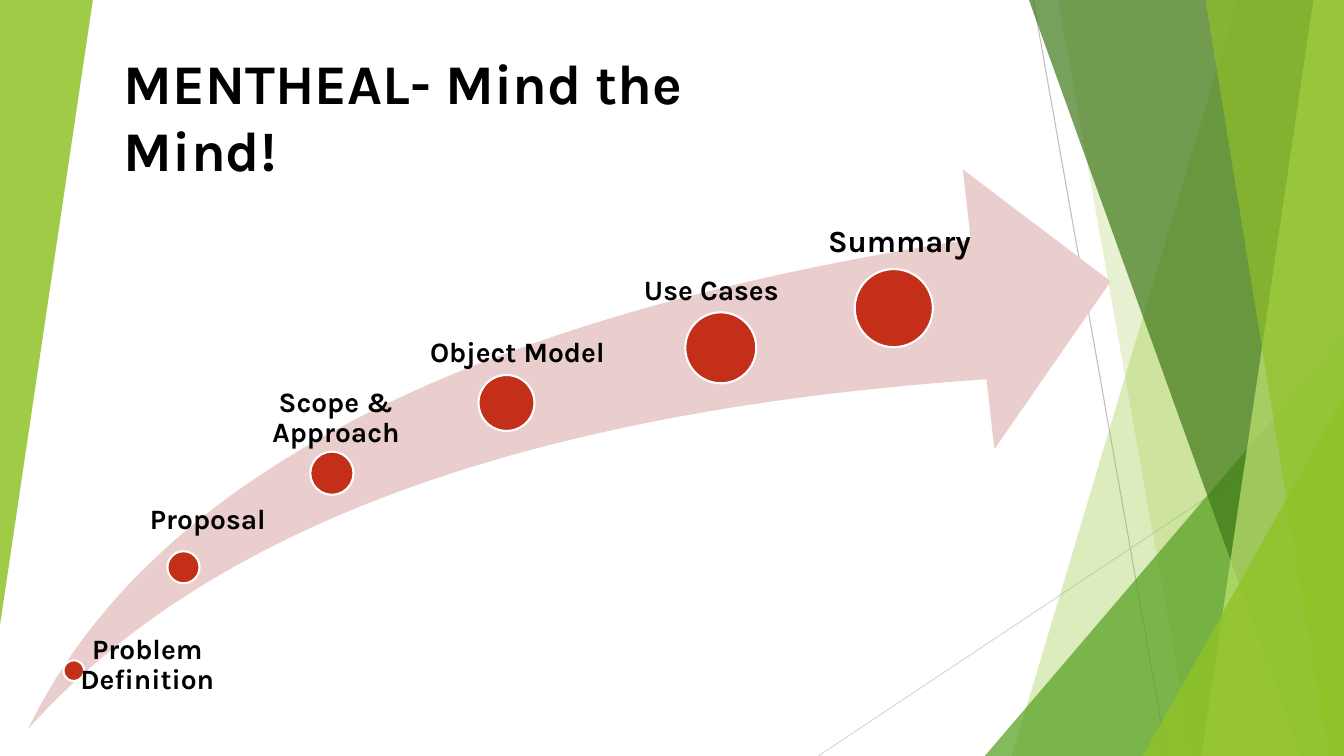
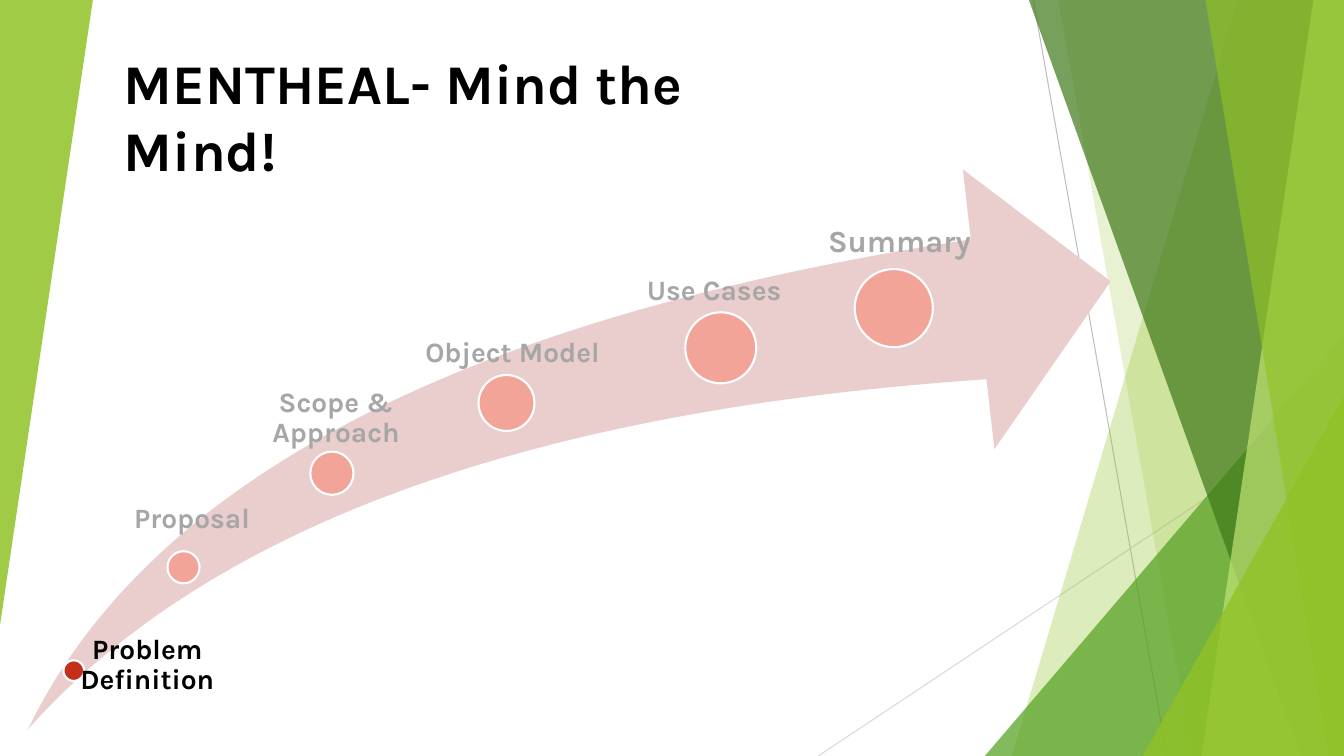
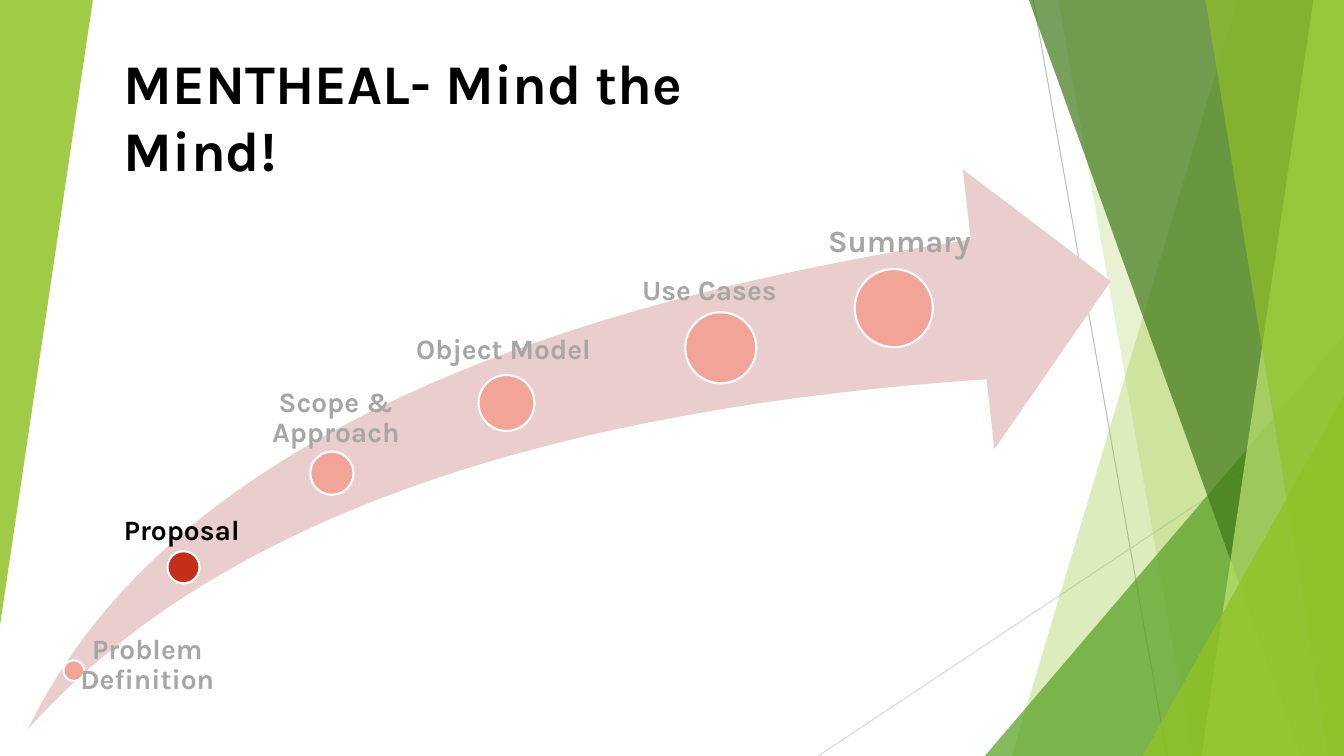
from dataclasses import dataclass, replace

from lxml import etree
from pptx import Presentation
from pptx import util as u
from pptx.dml import color
from pptx.enum import shapes, text
from pptx.oxml import ns


# Colours, type sizes and page size shared by every slide
@dataclass(frozen=True)
class Theme:
    width: float = 33.87
    height: float = 19.05
    font: str = "Karla"
    title_size: int = 40
    label_size: int = 20
    summary_size: int = 22
    ink: str = "000000"
    muted_ink: str = "A6A6A6"
    dot: str = "C42F1A"
    muted_dot: str = "F2A499"
    dot_edge: str = "FFFFFF"
    arrow: str = "EACDCD"
    lime: str = "90C226"
    pale_lime: str = "C0E474"
    green: str = "54A021"
    dark_green: str = "3F7819"
    ray: str = "BFBFBF"
    pale_ray: str = "D9D9D9"


THEME = Theme()


@dataclass(frozen=True)
class Label:
    left: float
    top: float
    width: float
    height: float
    inset: float
    inset_top: float = 0
    size: int = THEME.label_size
    spacing: float = 0.9
    align: text.PP_ALIGN = text.PP_ALIGN.LEFT
    fit: text.MSO_AUTO_SIZE = text.MSO_AUTO_SIZE.NONE


CENTER = text.PP_ALIGN.CENTER
GROW = text.MSO_AUTO_SIZE.SHAPE_TO_FIT_TEXT
TITLE = Label(2.87, 1.09, 18.39, 1.96, 0.25, 0.13, THEME.title_size, 1, fit=GROW)

# Milestones along the arrow: dot (left, top, diameter) and label
MILESTONES = {
    "Problem Definition": ((1.6, 16.64, 0.52), Label(0.91, 16, 5.33, 2.36, 0.28, align=CENTER)),
    "Proposal": ((4.22, 13.89, 0.81), Label(3.35, 12.73, 3.68, 1.42, 0.43)),
    "Scope & Approach": ((7.82, 11.38, 1.09), Label(5.69, 9.78, 5, 1.27, 0.56, align=CENTER)),
    "Object Model": ((12.06, 9.45, 1.41), Label(10.13, 8.53, 6.38, 1.32, 0.71)),
    "Use Cases": ((17.27, 7.87, 1.79), Label(15.32, 6.96, 7.24, 1.85, 0.91)),
    "Summary": ((21.54, 6.78, 1.97),
                Label(20.62, 5.46, 4.29, 1.19, 0.25, 0.13, THEME.summary_size, 1, fit=GROW)),
}

# Each slide: the highlighted milestones and the labels that shift
AGENDA = [
    (set(MILESTONES), {}),
    ({"Problem Definition"}, {
        "Proposal": {"left": 2.95, "top": 12.7},
        "Object Model": {"left": 10.01, "width": 7.04},
        "Use Cases": {"left": 15.39},
    }),
    ({"Proposal"}, {
        "Proposal": {"left": 2.69, "top": 13},
        "Object Model": {"left": 9.58, "top": 8.46, "width": 7.24, "height": 1.85, "inset": 0.91},
        "Use Cases": {"left": 15.47, "width": 5, "height": 1.09, "inset": 0.71},
    }),
]


def rgb(value):
    return color.RGBColor.from_string(value)


def apply(target, formats):
    for name, value in formats.items():
        setattr(target, name, value)


def paint(shape, fill, opacity=100, edge=None):
    """Flat fill with optional transparency and outline."""
    shape.shadow.inherit = False
    shape.fill.solid()
    shape.fill.fore_color.rgb = rgb(fill)
    if opacity < 100:
        tint = shape.element.spPr.find(".//" + ns.qn("a:srgbClr"))
        etree.SubElement(tint, ns.qn("a:alpha"), val=str(opacity * 1000))
    if edge:
        shape.line.color.rgb = rgb(edge)
        shape.line.width = u.Pt(1.5)
    else:
        shape.line.fill.background()


def add_preset(slide, kind, box, fill, opacity=100, edge=None, adjust=()):
    shape = slide.shapes.add_shape(kind, *map(u.Cm, box))
    for index, value in enumerate(adjust):
        shape.adjustments[index] = value
    paint(shape, fill, opacity, edge)
    return shape


def add_ray(slide, start, end, tint):
    ray = slide.shapes.add_connector(
        shapes.MSO_CONNECTOR.STRAIGHT, *map(u.Cm, start + end))
    ray.line.color.rgb = rgb(tint)
    ray.line.width = u.Pt(0.75)
    etree.SubElement(ray.element.spPr, ns.qn("a:effectLst"))


def add_panel(slide, top_left, bottom_left, fill, opacity):
    """Full-height panel from a slanted left side to the right edge."""
    right, bottom = u.Cm(THEME.width), u.Cm(THEME.height)
    outline = slide.shapes.build_freeform(u.Cm(top_left), 0)
    outline.add_line_segments([(right, 0), (right, bottom), (u.Cm(bottom_left), bottom)])
    paint(outline.convert_to_shape(), fill, opacity)


def add_wedge(slide, left, top, fill, opacity):
    """Right triangle that fills the lower right corner."""
    box = (left, top, THEME.width - left, THEME.height - top)
    add_preset(slide, shapes.MSO_SHAPE.ISOSCELES_TRIANGLE, box, fill, opacity, adjust=[1])


def add_label(slide, words, label, ink):
    box = slide.shapes.add_textbox(
        *map(u.Cm, (label.left, label.top, label.width, label.height)))
    frame = box.text_frame
    side = u.Cm(label.inset if label.inset_top else 0)
    edge = u.Cm(label.inset_top)
    apply(frame, {
        "word_wrap": True, "auto_size": label.fit,
        "vertical_anchor": text.MSO_ANCHOR.TOP,
        "margin_left": u.Cm(label.inset), "margin_right": side,
        "margin_top": edge, "margin_bottom": edge,
    })
    paragraph = frame.paragraphs[0]
    apply(paragraph, {"alignment": label.align, "line_spacing": label.spacing})
    run = paragraph.add_run()
    run.text = words
    apply(run.font, {"name": THEME.font, "size": u.Pt(label.size), "bold": True})
    run.font.color.rgb = rgb(ink)


def add_backdrop(slide):
    """Green facets on both sides."""
    add_ray(slide, (26.04, 0), (29.41, THEME.height), THEME.ray)
    add_ray(slide, (THEME.width, 10.24), (20.62, THEME.height), THEME.pale_ray)
    add_panel(slide, 31.19, 25.5, THEME.lime, 30)
    add_panel(slide, 26.67, 30.05, THEME.lime, 20)
    add_wedge(slide, 24.82, 8.46, THEME.green, 72)
    add_panel(slide, 25.93, 32.79, THEME.dark_green, 70)
    add_panel(slide, 33.1, 30.28, THEME.pale_lime, 70)
    add_panel(slide, 30.38, 33.48, THEME.lime, 65)
    add_wedge(slide, 28.8, 9.98, THEME.lime, 80)
    left_facet = add_preset(slide, shapes.MSO_SHAPE.ISOSCELES_TRIANGLE,
                            (0, 0, 2.34, 15.75), THEME.lime, 85, adjust=[1])
    left_facet.rotation = 180


def move_to_layout(slide):
    """Let every slide inherit what is drawn so far."""
    for shape in list(slide.shapes):
        slide.slide_layout.shapes.element.append(shape.element)


def add_roadmap(slide, active, shifts):
    add_preset(slide, shapes.MSO_SHAPE.SWOOSH_ARROW, (0.71, 4.27, 27.28, 14.1),
               THEME.arrow, adjust=[0.25, 0.25])
    for milestone, ((left, top, diameter), label) in MILESTONES.items():
        lit = milestone in active
        add_preset(slide, shapes.MSO_SHAPE.OVAL, (left, top, diameter, diameter),
                   THEME.dot if lit else THEME.muted_dot, edge=THEME.dot_edge)
        add_label(slide, milestone, replace(label, **shifts.get(milestone, {})),
                  THEME.ink if lit else THEME.muted_ink)


def main():
    deck = Presentation()
    apply(deck, {"slide_width": u.Cm(THEME.width), "slide_height": u.Cm(THEME.height)})
    blank = deck.slide_layouts[6]
    for number, (active, shifts) in enumerate(AGENDA):
        slide = deck.slides.add_slide(blank)
        if number == 0:
            add_backdrop(slide)
            move_to_layout(slide)
        add_roadmap(slide, active, shifts)
        add_label(slide, "MENTHEAL- Mind the Mind!", TITLE, THEME.ink)
    deck.save("out.pptx")


if __name__ == "__main__":
    main()
